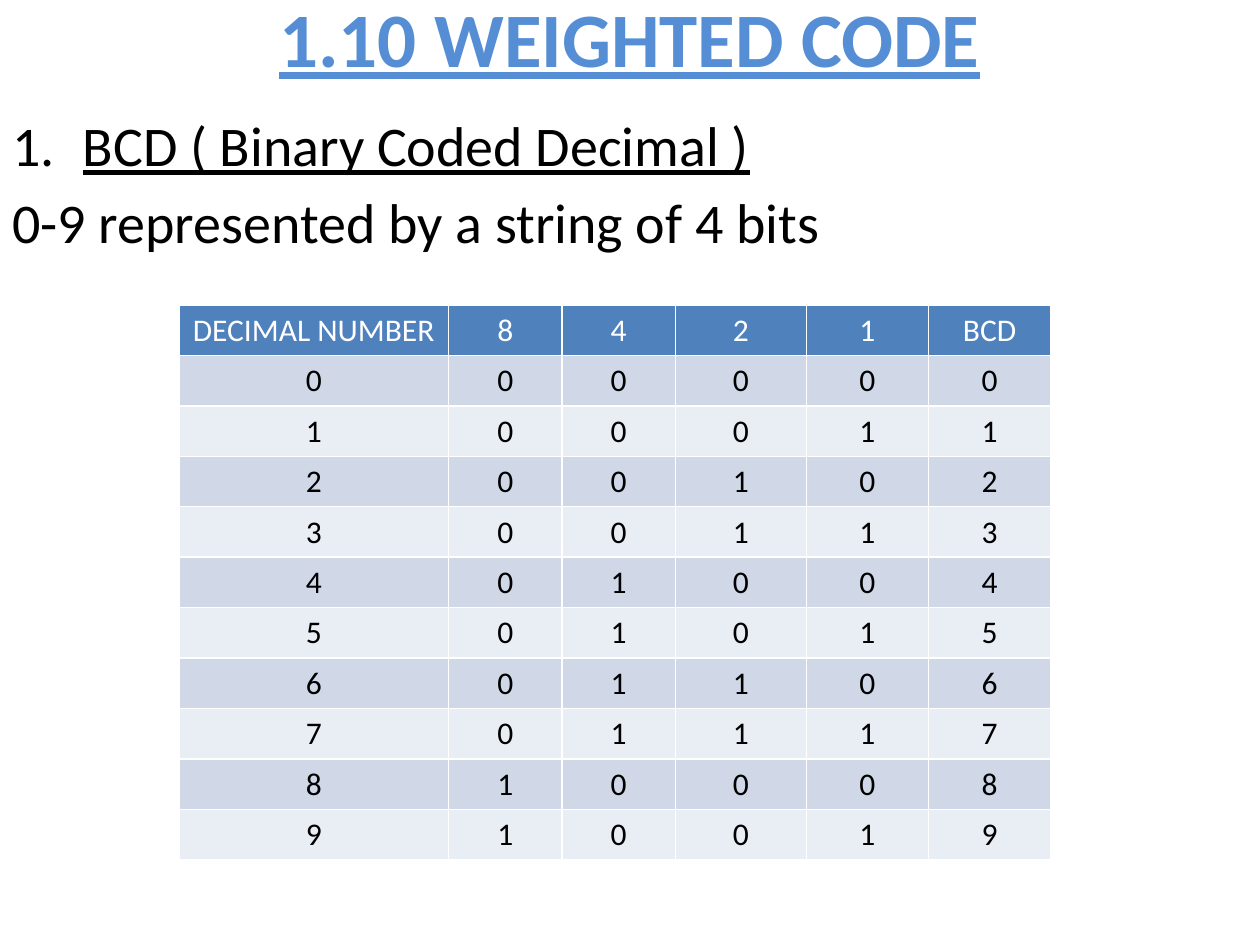
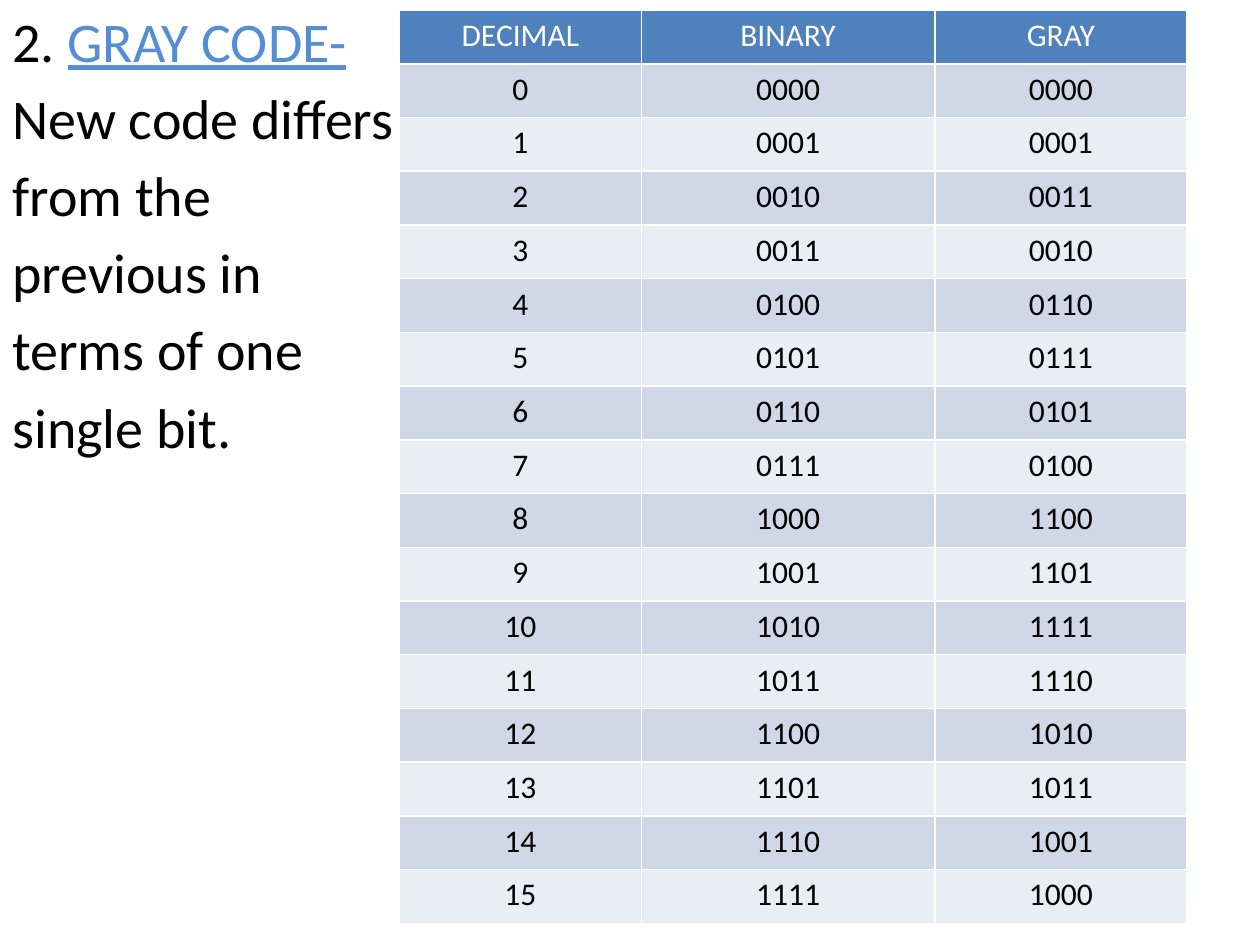
from lxml import etree
from pptx import Presentation
from pptx import util as u
from pptx.dml.color import RGBColor
from pptx.enum import text
from pptx.oxml import ns

Inches, Pt = u.Inches, u.Pt
FONT = "Calibri"
ACCENT = RGBColor(0x55, 0x8E, 0xD5)
HEADER = RGBColor(0x4F, 0x81, 0xBD)
BAND_DARK = RGBColor(0xD0, 0xD8, 0xE8)
BAND_LIGHT = RGBColor(0xE9, 0xED, 0xF4)
BLACK = RGBColor(0, 0, 0)
WHITE = RGBColor(0xFF, 0xFF, 0xFF)


def add_body(slide, top, height, indent, lines):
    """Add a full-width text box with hanging indents; return its paragraphs."""
    frame = slide.shapes.add_textbox(0, Inches(top), Inches(10), Inches(height)).text_frame
    frame.word_wrap = True
    frame.text = "\n".join(lines)
    for index, paragraph in enumerate(frame.paragraphs):
        properties = paragraph._p.get_or_add_pPr()
        properties.set("marL", str(Inches(indent)))
        properties.set("indent", str(-Inches(indent)))
        paragraph.space_before = Pt(5.7 if index else 0)
        for run in paragraph.runs:
            run.font.name, run.font.size, run.font.color.rgb = FONT, Pt(32), BLACK
    return frame.paragraphs


def add_code_table(slide, left, top, widths, row_height, rows):
    """Add a centred, banded table with thin white rules."""
    table = slide.shapes.add_table(len(rows), len(widths), Inches(left), Inches(top),
                                   Inches(sum(widths)), Inches(row_height * len(rows))).table
    for column, width in zip(table.columns, widths):
        column.width = Inches(width)
    for row_index, values in enumerate(rows):
        fill = BAND_DARK if row_index % 2 else BAND_LIGHT
        for column_index, value in enumerate(values):
            cell = table.cell(row_index, column_index)
            cell.text = str(value)
            paragraph = cell.text_frame.paragraphs[0]
            paragraph.alignment = text.PP_ALIGN.CENTER
            font = paragraph.runs[0].font
            font.name, font.size, font.bold = FONT, Pt(18), False
            font.color.rgb = BLACK if row_index else WHITE
            # Borders come before the fill in the cell properties
            properties = cell._tc.get_or_add_tcPr()
            for side in ("lnL", "lnR", "lnT", "lnB"):
                line = etree.SubElement(properties, ns.qn("a:" + side), w=str(Pt(1)))
                solid = etree.SubElement(line, ns.qn("a:solidFill"))
                etree.SubElement(solid, ns.qn("a:srgbClr"), val=str(WHITE))
            cell.fill.solid()
            cell.fill.fore_color.rgb = fill if row_index else HEADER


presentation = Presentation()
presentation.slide_width, presentation.slide_height = Inches(10), Inches(7.5)
title_only, blank = presentation.slide_layouts[5], presentation.slide_layouts[6]

# Slide 1: weighted code
slide = presentation.slides.add_slide(title_only)
title = slide.shapes.title
title.left, title.top = Inches(0.5), Inches(-0.33)
title.width, title.height = Inches(9), Inches(1.25)
title.text_frame.text = "1.10 WEIGHTED CODE"
title.text_frame.vertical_anchor = text.MSO_ANCHOR.MIDDLE
paragraph = title.text_frame.paragraphs[0]
paragraph.alignment = text.PP_ALIGN.CENTER
font = paragraph.runs[0].font
font.name, font.size, font.bold, font.underline = FONT, Pt(44), True, True
font.color.rgb = ACCENT

heading, _ = add_body(slide, 0.83, 6.67, 0.56, [
    "BCD ( Binary Coded Decimal )",
    "0-9 represented by a string of 4 bits",
])
etree.SubElement(heading._p.get_or_add_pPr(), ns.qn("a:buAutoNum"), type="arabicPeriod")
heading.runs[0].font.underline = True

bcd_rows = [["DECIMAL NUMBER", 8, 4, 2, 1, "BCD"]]
bcd_rows += [[number, *f"{number:04b}", number] for number in range(10)]
add_code_table(slide, 1.42, 2.42, [2.14, 0.9, 0.9, 1.04, 0.97, 0.97], 0.4, bcd_rows)

# Slide 2: Gray code
slide = presentation.slides.add_slide(blank)
heading = add_body(slide, 0, 7.5, 0.38, [
    "2. ",
    "New code differs",
    "from the",
    "previous in",
    "terms of one",
    "single bit.",
])[0]
run = heading.add_run()
run.text = "GRAY CODE-"
run.font.name, run.font.size, run.font.underline = FONT, Pt(32), True
run.font.color.rgb = ACCENT

gray_rows = [["DECIMAL", "BINARY", "GRAY"]]
gray_rows += [[number, f"{number:04b}", f"{number ^ number >> 1:04b}"] for number in range(16)]
add_code_table(slide, 3.17, 0.08, [1.92, 2.33, 2], 7.25 / 17, gray_rows)

presentation.save("out.pptx")
